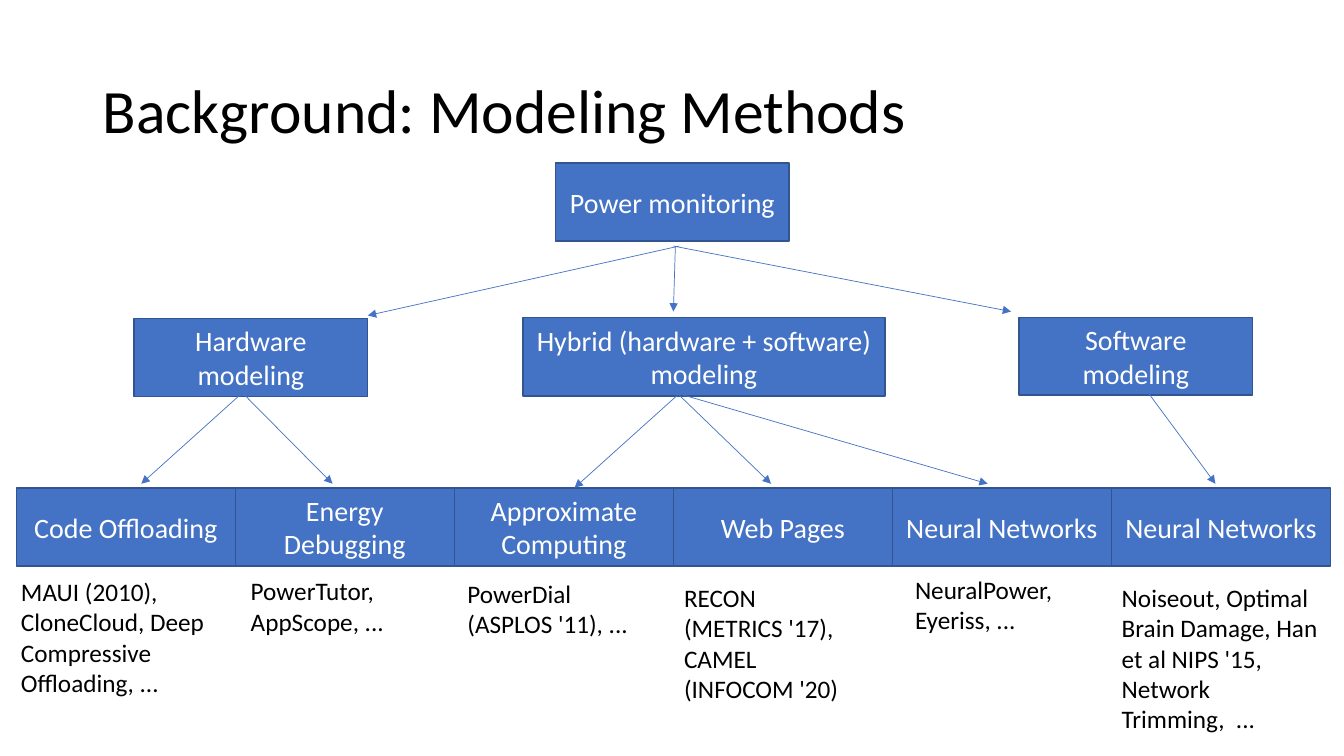
"""Build the slide on power modeling methods as a three-level tree."""
from dataclasses import dataclass

from lxml.etree import SubElement
from pptx import Presentation
from pptx.dml.color import RGBColor
from pptx.enum.shapes import MSO_CONNECTOR, MSO_SHAPE
from pptx.enum.text import MSO_ANCHOR, MSO_AUTO_SIZE, PP_ALIGN
from pptx.oxml.ns import qn
from pptx.slide import Slide
from pptx.text.text import TextFrame
from pptx.util import Cm, Pt

COLOURS = {"box": "4472C4", "border": "325491", "label": "FFFFFF", "text": "000000"}
FONT = "Calibri"
FIELD_LEFT, FIELD_TOP, FIELD_WIDTH = 0.41, 12.3, 5.52
BOX_HEIGHT = 1.96


@dataclass(frozen=True)
class Method:
    """A box of the tree, in centimetres."""

    label: str
    left: float
    top: float
    width: float = 5.89
    height: float = BOX_HEIGHT


@dataclass(frozen=True)
class Field:
    """An application field with the works listed beneath it."""

    label: str
    works: str
    left: float
    top: float
    width: float
    height: float


@dataclass(frozen=True)
class Branch:
    """An arrow between two levels, in centimetres."""

    start_x: float
    start_y: float
    end_x: float
    end_y: float


METHODS = [
    Method("Power monitoring", 14, 4.11),
    Method("Hardware modeling", 3.38, 8.03),
    Method("Hybrid (hardware + software) modeling", 13.18, 8, 9.12, 1.98),
    Method("Software modeling", 25.68, 8),
]
FIELDS = [
    Field("Code Offloading", "MAUI (2010), CloneCloud, Deep Compressive Offloading, ...",
          0.28, 14.4, 5.26, 3.33),
    Field("Energy Debugging", "PowerTutor, AppScope, ...", 6.07, 14.38, 5.26, 1.8),
    Field("Approximate Computing", "PowerDial (ASPLOS '11), ...", 11.53, 14.45, 5.26, 1.8),
    Field("Web Pages", "RECON (METRICS '17), CAMEL (INFOCOM '20)", 16.99, 14.55, 4.9, 3.33),
    Field("Neural Networks", "NeuralPower, Eyeriss, ...", 22.81, 14.35, 4.9, 1.8),
    Field("Neural Networks",
          "Noiseout, Optimal Brain Damage, Han et al NIPS '15, Network Trimming,  ...",
          28.02, 14.55, 5.84, 4.11),
]
BRANCHES = [
    Branch(17.12, 6.2, 9.27, 7.95),
    Branch(17.02, 6.2, 16.97, 7.85),
    Branch(16.97, 6.2, 25.48, 7.85),
    Branch(6.15, 9.86, 3.56, 12.19),
    Branch(6.07, 9.86, 8.38, 12.19),
    Branch(17.07, 9.96, 14.48, 12.29),
    Branch(17.12, 9.96, 19.43, 12.19),
    Branch(17.07, 9.91, 24.89, 12.19),
    Branch(28.96, 9.93, 30.63, 12.19),
]


def colour(role: str) -> RGBColor:
    """Return the colour of a role."""
    return RGBColor.from_string(COLOURS[role])


def write(frame: TextFrame, text: str, size: int, role: str, align: PP_ALIGN) -> None:
    """Write one formatted run into the first paragraph."""
    frame.word_wrap = True
    paragraph = frame.paragraphs[0]
    paragraph.alignment = align
    run = paragraph.add_run()
    run.text = text
    run.font.name = FONT
    run.font.size = Pt(size)
    run.font.color.rgb = colour(role)


def add_title(slide: Slide, text: str) -> None:
    """Place and fill the title placeholder."""
    title = slide.shapes.title
    title.left, title.top, title.width, title.height = Cm(2.34), Cm(1.02), Cm(29.21), Cm(3.68)
    frame = title.text_frame
    frame.auto_size = MSO_AUTO_SIZE.NONE
    frame.vertical_anchor = MSO_ANCHOR.MIDDLE
    write(frame, text, 44, "text", PP_ALIGN.LEFT)
    frame.paragraphs[0].line_spacing = 0.9


def add_method(slide: Slide, method: Method) -> None:
    """Draw a labelled box."""
    box = slide.shapes.add_shape(MSO_SHAPE.RECTANGLE, Cm(method.left), Cm(method.top),
                                 Cm(method.width), Cm(method.height))
    box.shadow.inherit = False
    box.fill.solid()
    box.fill.fore_color.rgb = colour("box")
    box.line.color.rgb = colour("border")
    box.line.width = Pt(1)
    box.text_frame.vertical_anchor = MSO_ANCHOR.MIDDLE
    write(box.text_frame, method.label, 20, "label", PP_ALIGN.CENTER)


def add_field(slide: Slide, column: int, field: Field) -> None:
    """Draw a field box in its column and the works beneath it."""
    add_method(slide, Method(field.label, FIELD_LEFT + column * FIELD_WIDTH, FIELD_TOP,
                             FIELD_WIDTH))
    works = slide.shapes.add_textbox(Cm(field.left), Cm(field.top),
                                     Cm(field.width), Cm(field.height))
    works.text_frame.auto_size = MSO_AUTO_SIZE.SHAPE_TO_FIT_TEXT
    write(works.text_frame, field.works, 18, "text", PP_ALIGN.LEFT)


def add_branch(slide: Slide, branch: Branch) -> None:
    """Draw a thin arrow."""
    arrow = slide.shapes.add_connector(MSO_CONNECTOR.STRAIGHT,
                                       Cm(branch.start_x), Cm(branch.start_y),
                                       Cm(branch.end_x), Cm(branch.end_y))
    arrow.line.color.rgb = colour("box")
    arrow.line.width = Pt(0.5)
    properties = arrow.element.spPr
    SubElement(properties.find(qn("a:ln")), qn("a:tailEnd"), type="triangle")
    SubElement(properties, qn("a:effectLst"))


def main() -> None:
    """Build and save the slide."""
    deck = Presentation()
    deck.slide_width, deck.slide_height = Cm(33.87), Cm(19.05)
    slide = deck.slides.add_slide(deck.slide_layouts.get_by_name("Title Only"))
    add_title(slide, "Background: Modeling Methods")
    for method in METHODS:
        add_method(slide, method)
    for column, field in enumerate(FIELDS):
        add_field(slide, column, field)
    for branch in BRANCHES:
        add_branch(slide, branch)
    deck.save("out.pptx")


if __name__ == "__main__":
    main()
